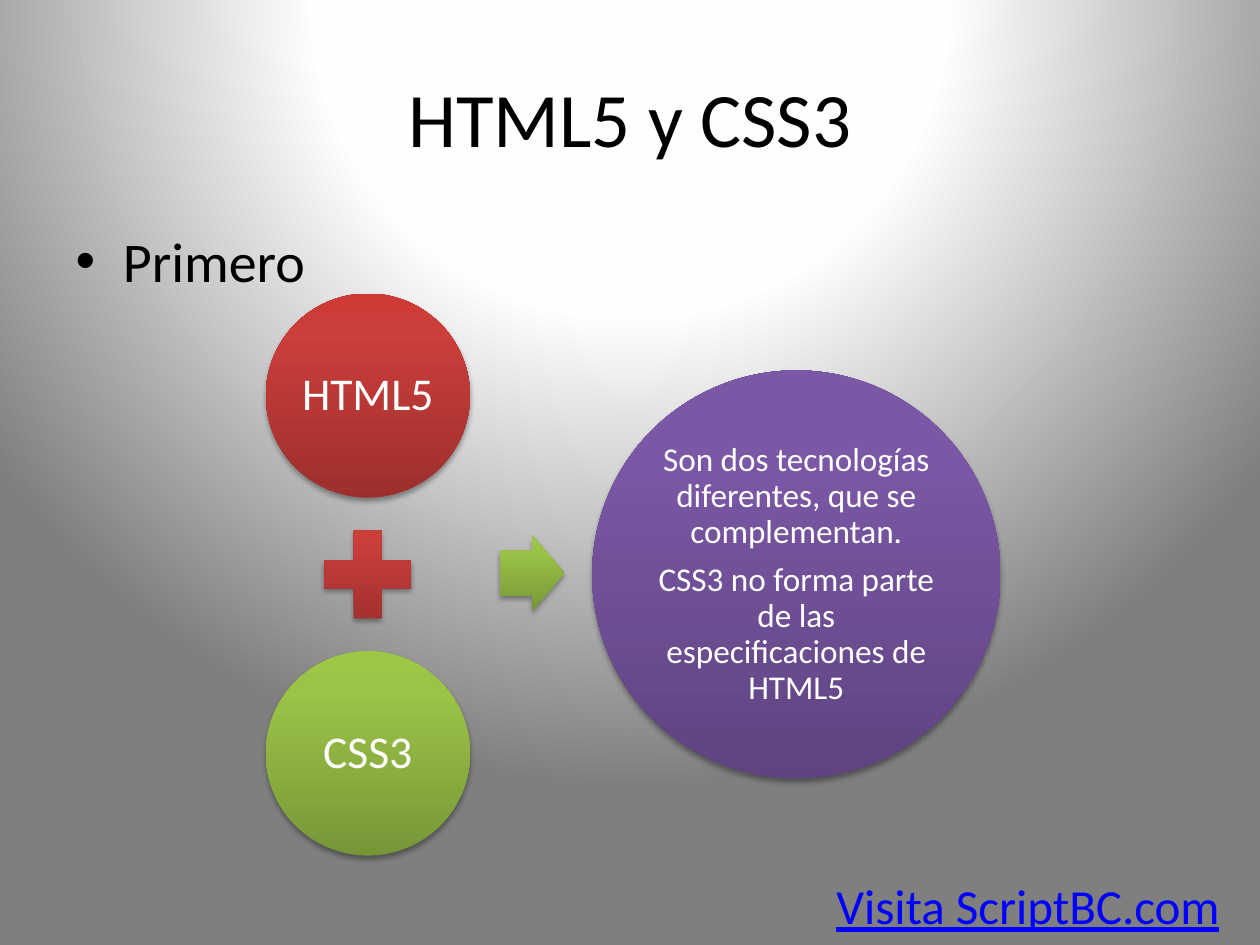
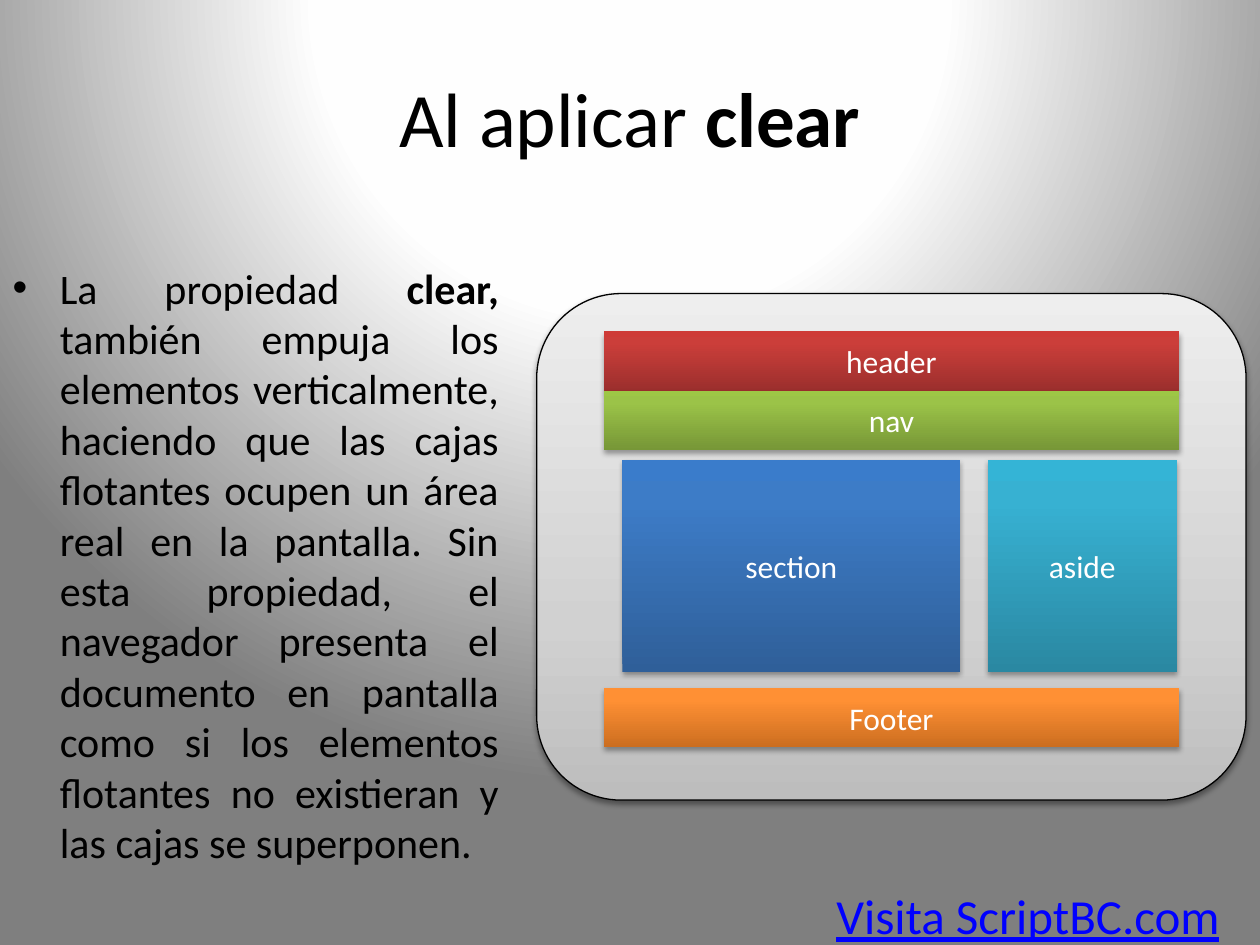
from dataclasses import dataclass

from pptx import Presentation
from pptx.dml.color import RGBColor
from pptx.enum.shapes import MSO_SHAPE
from pptx.enum.text import MSO_ANCHOR, MSO_AUTO_SIZE, PP_ALIGN
from pptx.oxml import parse_xml
from pptx.oxml.ns import nsdecls, qn
from pptx.util import Emu, Pt

# Scale: 100 px to the inch
PX = 9144
SLIDE_WIDTH, SLIDE_HEIGHT = 1000, 750
FONT = "Calibri"

ELLIPSE, RECTANGLE = MSO_SHAPE.OVAL, MSO_SHAPE.RECTANGLE
ROUNDED, PLUS, ARROW = MSO_SHAPE.ROUNDED_RECTANGLE, MSO_SHAPE.MATH_PLUS, MSO_SHAPE.RIGHT_ARROW
CENTER, JUSTIFY, LEFT = PP_ALIGN.CENTER, PP_ALIGN.JUSTIFY, PP_ALIGN.LEFT
MIDDLE = MSO_ANCHOR.MIDDLE
NO_AUTOFIT = MSO_AUTO_SIZE.NONE

BLACK = RGBColor(0x00, 0x00, 0x00)
WHITE = RGBColor(0xFF, 0xFF, 0xFF)
LINK_BLUE = RGBColor(0x00, 0x00, 0xFF)

# Gradients as (position in percent, colour)
Stops = list[tuple[int, RGBColor]]


def accent(dark: RGBColor, bright: RGBColor, top: RGBColor) -> Stops:
    return [(0, dark), (80, bright), (100, top)]


BACKDROP = [(0, WHITE), (40, RGBColor(0xFE, 0xFE, 0xFE)), (100, RGBColor(0x7F, 0x7F, 0x7F))]
GRAY = [(0, RGBColor(0xBD, 0xBD, 0xBD)), (35, RGBColor(0xD1, 0xD1, 0xD1)),
        (100, RGBColor(0xEE, 0xEE, 0xEE))]
RED = accent(RGBColor(0x9C, 0x2F, 0x2D), RGBColor(0xCB, 0x3E, 0x3A), RGBColor(0xCE, 0x3B, 0x37))
GREEN = accent(RGBColor(0x77, 0x97, 0x37), RGBColor(0x9B, 0xC3, 0x48), RGBColor(0x9D, 0xC7, 0x46))
PURPLE = accent(RGBColor(0x5F, 0x44, 0x80), RGBColor(0x7B, 0x58, 0xA6), RGBColor(0x7C, 0x57, 0xA8))
BLUE = accent(RGBColor(0x2F, 0x5F, 0x99), RGBColor(0x3D, 0x7C, 0xC7), RGBColor(0x3A, 0x7C, 0xCB))
TEAL = accent(RGBColor(0x2A, 0x88, 0xA2), RGBColor(0x37, 0xB1, 0xD2), RGBColor(0x34, 0xB4, 0xD6))
ORANGE = accent(RGBColor(0xCC, 0x6E, 0x20), RGBColor(0xFF, 0x90, 0x34), RGBColor(0xFF, 0x91, 0x36))


@dataclass
class Box:
    left: int
    top: int
    width: int
    height: int

    def emu(self) -> list[Emu]:
        return [Emu(value * PX) for value in (self.left, self.top, self.width, self.height)]


@dataclass
class Span:
    text: str
    bold: bool = False


@dataclass
class Figure:
    kind: int
    box: Box
    stops: Stops
    text: str = ""
    size: int = 18
    inset: int = 10
    line_spacing: float = 1.0
    outlined: bool = False
    shadow_alpha: int = 35


TITLE_BOX = Box(50, 30, 900, 125)


def gradient(stops: Stops, direction: str):
    marks = "".join(f'<a:gs pos="{position * 1000}"><a:srgbClr val="{color}"/></a:gs>'
                    for position, color in stops)
    return parse_xml(f'<a:gradFill {nsdecls("a")} rotWithShape="1">'
                     f'<a:gsLst>{marks}</a:gsLst>{direction}</a:gradFill>')


def set_backdrop(master) -> None:
    """Give every slide the same spotlight background."""
    content = master.element.find(qn("p:cSld"))
    for old in content.findall(qn("p:bg")):
        content.remove(old)
    backdrop = parse_xml(f'<p:bg {nsdecls("p", "a")}><p:bgPr><a:effectLst/></p:bgPr></p:bg>')
    spotlight = ('<a:path path="circle">'
                 '<a:fillToRect l="50000" t="-80000" r="50000" b="180000"/></a:path>')
    backdrop[0].insert(0, gradient(BACKDROP, spotlight))
    content.insert(0, backdrop)


def format_runs(para, size: int, color: RGBColor) -> None:
    for run in para.runs:
        run.font.name = FONT
        run.font.size = Pt(size)
        run.font.color.rgb = color


def fill_placeholder(holder, box: Box, spans: list[Span], size: int, align) -> None:
    holder.left, holder.top, holder.width, holder.height = box.emu()
    holder.text_frame.auto_size = NO_AUTOFIT
    para = holder.text_frame.paragraphs[0]
    para.alignment = align
    para.space_before = Pt(0)
    for span in spans:
        run = para.add_run()
        run.text = span.text
        run.font.bold = span.bold
    format_runs(para, size, BLACK)


def draw_figure(page, figure: Figure):
    shape = page.shapes.add_shape(figure.kind, *figure.box.emu())
    # Fill, outline and soft shadow below
    shape.fill.solid()
    properties = shape.element.spPr
    properties.replace(properties.find(qn("a:solidFill")),
                       gradient(figure.stops, '<a:lin ang="16200000" scaled="0"/>'))
    if figure.outlined:
        shape.line.color.rgb = BLACK
        shape.line.width = Pt(0.75)
    else:
        shape.line.fill.background()
    shape.shadow.inherit = False
    properties.find(qn("a:effectLst")).append(parse_xml(
        f'<a:outerShdw {nsdecls("a")} blurRad="{Pt(3.1)}" dist="{Pt(1.8)}" dir="5400000" '
        f'rotWithShape="0"><a:srgbClr val="{BLACK}">'
        f'<a:alpha val="{figure.shadow_alpha * 1000}"/></a:srgbClr></a:outerShdw>'))
    if figure.text:
        write_label(shape.text_frame, figure)
    return shape


def write_label(frame, figure: Figure) -> None:
    frame.text = figure.text
    frame.word_wrap = True
    frame.vertical_anchor = MIDDLE
    frame.margin_left = frame.margin_right = Emu(figure.inset * PX)
    frame.margin_top = frame.margin_bottom = Emu(min(figure.inset, 5) * PX)
    for para in frame.paragraphs:
        para.alignment = CENTER
        para.line_spacing = figure.line_spacing
        format_runs(para, figure.size, WHITE)
    for para in frame.paragraphs[:-1]:
        para.space_after = Pt(7)


def add_page(deck, title: list[Span], body: list[Span], body_box: Box,
             body_size: int, body_align, footer_top: int):
    page = deck.slides.add_slide(deck.slide_layouts[1])
    fill_placeholder(page.shapes.title, TITLE_BOX, title, 44, CENTER)
    fill_placeholder(page.placeholders[1], body_box, body, body_size, body_align)
    # Footer
    footer = page.shapes.add_textbox(*Box(654, footer_top, 346, 57).emu())
    footer.text_frame.text = "Visita ScriptBC.com"
    footer.text_frame.word_wrap = True
    para = footer.text_frame.paragraphs[0]
    format_runs(para, 28, LINK_BLUE)
    para.runs[0].font.underline = True
    return page


def build_sum_page(deck) -> None:
    page = add_page(deck, [Span("HTML5 y CSS3")], [Span("Primero")],
                    Box(50, 175, 900, 495), 32, LEFT, 690)
    # Column of addends, centred on one axis
    axis, top, gap = 292, 233, 14
    addends = [(ELLIPSE, 162, RED, "HTML5"), (PLUS, 94, RED, ""), (ELLIPSE, 162, GREEN, "CSS3")]
    for kind, side, stops, text in addends:
        box = Box(axis - side // 2, top, side, side)
        draw_figure(page, Figure(kind, box, stops, text, 26, 4, 0.9))
        top += side + gap
    # Arrow and result
    arrow = draw_figure(page, Figure(ARROW, Box(397, 425, 51, 60), GREEN))
    arrow.adjustments[0] = 0.6
    arrow.adjustments[1] = 0.5
    result = ("Son dos tecnologías diferentes, que se complementan.\n"
              "CSS3 no forma parte de las especificaciones de HTML5")
    draw_figure(page, Figure(ELLIPSE, Box(470, 294, 324, 324), PURPLE, result, 19, 3, 0.9))


def build_clear_page(deck) -> None:
    body = [
        Span("La propiedad "),
        Span("clear, ", True),
        Span("también empuja los elementos verticalmente, haciendo que las cajas flotantes "
             "ocupen un área real en la pantalla. Sin esta propiedad, el navegador presenta "
             "el documento en pantalla como si los elementos flotantes no existieran y las "
             "cajas se superponen."),
    ]
    page = add_page(deck, [Span("Al aplicar "), Span("clear", True)], body,
                    Box(0, 203, 406, 495), 24, JUSTIFY, 698)
    # Browser window
    draw_figure(page, Figure(ROUNDED, Box(426, 233, 563, 402), GRAY,
                             outlined=True, shadow_alpha=38))
    # Full-width bars, then the floating columns
    bar_height, header_top = 47, 263
    bars = [("header", header_top, RED), ("nav", header_top + bar_height, GREEN),
            ("Footer", 546, ORANGE)]
    for text, top, stops in bars:
        draw_figure(page, Figure(RECTANGLE, Box(479, top, 457, bar_height), stops, text))
    for text, left, width, stops in [("section", 494, 268, BLUE), ("aside", 784, 150, TEAL)]:
        draw_figure(page, Figure(RECTANGLE, Box(left, 365, width, 168), stops, text))


def main() -> None:
    deck = Presentation()
    deck.slide_width, deck.slide_height = Emu(SLIDE_WIDTH * PX), Emu(SLIDE_HEIGHT * PX)
    set_backdrop(deck.slide_master)
    build_sum_page(deck)
    build_clear_page(deck)
    deck.save("out.pptx")


if __name__ == "__main__":
    main()
